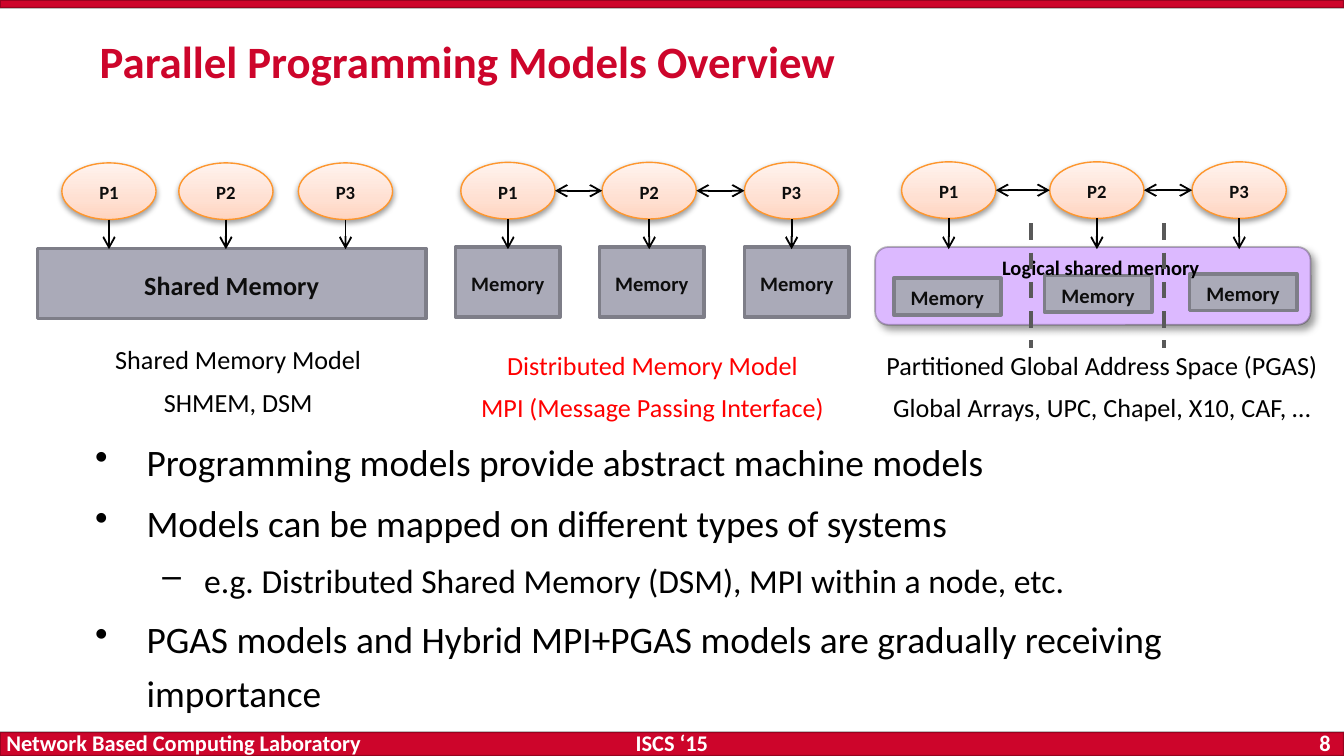
from pptx import Presentation
from pptx.dml.color import RGBColor
from pptx.enum.dml import MSO_LINE
from pptx.enum.shapes import MSO_CONNECTOR, MSO_SHAPE
from pptx.enum.text import MSO_ANCHOR, PP_ALIGN
from pptx.oxml import parse_xml
from pptx.oxml.ns import nsdecls, qn
from pptx.util import Cm, Pt

COLORS = {
    "red": "CD052B", "white": "FFFFFF", "black": "000000", "ink": "0D0D0D",
    "highlight": "FF0000", "memory": "AAAAB8", "memory_line": "7E7E88",
    "shared": "DCB9FF", "process_line": "FE962D", "divider": "595959",
}
PROCESS_STOPS = [(0, "FFD4BF"), (35, "FFE0D2"), (100, "FFF3EE")]
PROCESS_WIDTH, PROCESS_HEIGHT = 1.78, 1.07
ARROW_END = 4.71


def rgb(name):
    return RGBColor.from_string(COLORS[name])


def write(paragraph, text, size=14, color="black", bold=False,
          align=PP_ALIGN.LEFT, spacing=1.0, before=0.0):
    """Fill a paragraph; before is a share of the font size."""
    paragraph.alignment = align
    paragraph.line_spacing = spacing
    paragraph.space_before = Pt(size * before)
    run = paragraph.add_run()
    run.text = text
    run.font.name = "Calibri"
    run.font.size = Pt(size)
    run.font.bold = bold
    run.font.color.rgb = rgb(color)


class SlideBuilder:
    def __init__(self, slide):
        self.slide = slide

    def title(self, text, left, top, width, height):
        title = self.slide.shapes.title
        title.left, title.top = Cm(left), Cm(top)
        title.width, title.height = Cm(width), Cm(height)
        title.text_frame.vertical_anchor = MSO_ANCHOR.TOP
        write(title.text_frame.paragraphs[0], text, size=24, color="red", bold=True)

    def text(self, lines, left, top, width, height, wrap=False,
             anchor=MSO_ANCHOR.TOP, margin=0.13, **style):
        box = self.slide.shapes.add_textbox(Cm(left), Cm(top), Cm(width), Cm(height))
        frame = box.text_frame
        frame.word_wrap = wrap
        frame.vertical_anchor = anchor
        frame.margin_top = frame.margin_bottom = Cm(margin)
        for index, line in enumerate(lines):
            paragraph = frame.add_paragraph() if index else frame.paragraphs[0]
            write(paragraph, line, **style)
        return box

    def bullets(self, items, left, top, width, height):
        frame = self.text([], left, top, width, height, wrap=True).text_frame
        levels = [("•", 20, 0.97, -0.97), ("–", 18, 2.06, -0.79)]
        for index, (level, line) in enumerate(items):
            paragraph = frame.add_paragraph() if index else frame.paragraphs[0]
            mark, size, margin, indent = levels[level]
            paragraph.level = level
            write(paragraph, line, size=size, spacing=1.2, before=0.2)
            properties = paragraph._p.get_or_add_pPr()
            properties.set("marL", str(Cm(margin)))
            properties.set("indent", str(Cm(indent)))
            properties.append(parse_xml(f'<a:buChar {nsdecls("a")} char="{mark}"/>'))

    def shape(self, kind, left, top, width, height, fill, line, line_width,
              text="", size=11):
        shape = self.slide.shapes.add_shape(
            kind, Cm(left), Cm(top), Cm(width), Cm(height))
        shape.shadow.inherit = False
        if fill:
            shape.fill.solid()
            shape.fill.fore_color.rgb = rgb(fill)
        shape.line.color.rgb = rgb(line)
        shape.line.width = Pt(line_width)
        if text:
            frame = shape.text_frame
            frame.word_wrap = False
            frame.vertical_anchor = MSO_ANCHOR.MIDDLE
            frame.margin_top = frame.margin_bottom = 0
            write(frame.paragraphs[0], text, size=size, color="ink", bold=True,
                  align=PP_ALIGN.CENTER, spacing=1.1, before=0.2)
        return shape

    def panel(self, kind, left, top, width, height, fill):
        """A shape with a faint black outline."""
        shape = self.shape(kind, left, top, width, height, fill, "black", 1)
        color = shape.element.spPr.find(qn("a:ln")).find(".//" + qn("a:srgbClr"))
        color.append(parse_xml(f'<a:alpha {nsdecls("a")} val="25000"/>'))
        return shape

    def shadow(self, shape, alpha, blur, distance, angle):
        shape.element.spPr.find(qn("a:effectLst")).append(parse_xml(
            f'<a:outerShdw {nsdecls("a")} blurRad="{Pt(blur)}" dist="{Pt(distance)}" '
            f'dir="{angle * 60000}" rotWithShape="0"><a:srgbClr val="{COLORS["black"]}">'
            f'<a:alpha val="{alpha * 1000}"/></a:srgbClr></a:outerShdw>'))

    def process(self, text, left, top):
        oval = self.shape(MSO_SHAPE.OVAL, left, top, PROCESS_WIDTH, PROCESS_HEIGHT,
                          None, "process_line", 0.75, text, size=10)
        stops = "".join(f'<a:gs pos="{position * 1000}"><a:srgbClr val="{color}"/></a:gs>'
                        for position, color in PROCESS_STOPS)
        oval.element.spPr.find(qn("a:prstGeom")).addnext(parse_xml(
            f'<a:gradFill {nsdecls("a")} rotWithShape="1"><a:gsLst>{stops}</a:gsLst>'
            '<a:lin ang="16200000" scaled="0"/></a:gradFill>'))
        self.shadow(oval, 38, 3.1, 1.6, 90)

    def memory(self, text, left, top, width, height, size=11):
        self.shape(MSO_SHAPE.RECTANGLE, left, top, width, height,
                   "memory", "memory_line", 2, text, size)

    def line(self, x1, y1, x2, y2, color="black", width=1, dash=None, ends=()):
        line = self.slide.shapes.add_connector(
            MSO_CONNECTOR.STRAIGHT, Cm(x1), Cm(y1), Cm(x2), Cm(y2))
        line.line.color.rgb = rgb(color)
        line.line.width = Pt(width)
        if dash:
            line.line.dash_style = dash
        properties = line.element.spPr
        for end in ends:
            properties.find(qn("a:ln")).append(
                parse_xml(f'<a:{end} {nsdecls("a")} type="arrow"/>'))
        properties.append(parse_xml(f'<a:effectLst {nsdecls("a")}/>'))

    def processes(self, lefts, top, linked):
        """Three processes with arrows down to memory and, if linked, between them."""
        for number, left in enumerate(lefts, start=1):
            self.process(f"P{number}", left, top)
            center = left + PROCESS_WIDTH / 2
            self.line(center, top + PROCESS_HEIGHT, center, ARROW_END, ends=["tailEnd"])
        if linked:
            middle = top + PROCESS_HEIGHT / 2
            for left, right in zip(lefts, lefts[1:]):
                self.line(left + PROCESS_WIDTH, middle, right, middle,
                          ends=["headEnd", "tailEnd"])


def main():
    presentation = Presentation()
    presentation.slide_width, presentation.slide_height = Cm(25.4), Cm(14.29)
    builder = SlideBuilder(presentation.slides.add_slide(presentation.slide_layouts[5]))

    # Bars and footer
    for top, height in [(0, 0.15), (13.84, 0.45)]:
        builder.panel(MSO_SHAPE.RECTANGLE, 0, top, 25.4, height, "red")
    footers = [
        ("Network Based Computing Laboratory", -0.13, 7.67, PP_ALIGN.LEFT),
        ("ISCS ‘15", 0, 25.4, PP_ALIGN.CENTER),
        ("8", 23.72, 1.68, PP_ALIGN.RIGHT),
    ]
    for text, left, width, align in footers:
        builder.text([text], left, 13.84, width, 0.4, wrap=True, margin=0,
                     anchor=MSO_ANCHOR.MIDDLE, size=12, color="white",
                     bold=True, align=align)

    builder.title("Parallel Programming Models Overview", 1.63, 0.51, 22.48, 1.6)

    # Shared memory model
    builder.memory("Shared Memory", 0.71, 4.7, 7.34, 1.32, size=14)
    builder.processes([1.17, 3.38, 5.64], 3.08, linked=False)

    # Distributed memory model
    for left in (8.61, 11.33, 14.07):
        builder.memory("Memory", left, 4.67, 1.98, 1.32)
    builder.processes([8.71, 11.38, 14.07], 3.07, linked=True)

    # Partitioned global address space
    space = builder.panel(MSO_SHAPE.ROUNDED_RECTANGLE, 16.54, 4.67, 8.23, 1.47, "shared")
    builder.shadow(space, 40, 4, 3, 45)
    for left, top in [(16.89, 5.26), (19.74, 5.21), (22.48, 5.18)]:
        builder.memory("Memory", left, top, 2.03, 0.69)
    builder.processes([17.04, 19.84, 22.53], 3.06, linked=True)
    builder.text(["Logical shared memory"], 18.69, 4.6, 4.29, 0.81,
                 size=11, bold=True, spacing=1.2, before=0.2)
    for x in (19.48, 22):
        builder.line(x, 4.22, x, 6.58, color="divider", width=2.25, dash=MSO_LINE.DASH)

    # Model captions
    captions = [
        (["Shared Memory Model", "SHMEM, DSM"], 1.9, 6.25, 5.21, "black"),
        (["Distributed Memory Model", "MPI (Message Passing Interface)"],
         8.79, 6.35, 7.09, "highlight"),
        (["Partitioned Global Address Space (PGAS)",
          "Global Arrays, UPC, Chapel, X10, CAF, …"], 16.46, 6.35, 8.74, "black"),
    ]
    for lines, left, top, width, color in captions:
        builder.text(lines, left, top, width, 1.8, color=color,
                     align=PP_ALIGN.CENTER, spacing=1.2, before=0.2)

    # Key points
    builder.bullets([
        (0, "Programming models provide abstract machine models"),
        (0, "Models can be mapped on different types of systems"),
        (1, "e.g. Distributed Shared Memory (DSM), MPI within a node, etc."),
        (0, "PGAS models and Hybrid MPI+PGAS models are gradually receiving importance"),
    ], 1.55, 8, 21.84, 5.56)

    presentation.save("out.pptx")


if __name__ == "__main__":
    main()
